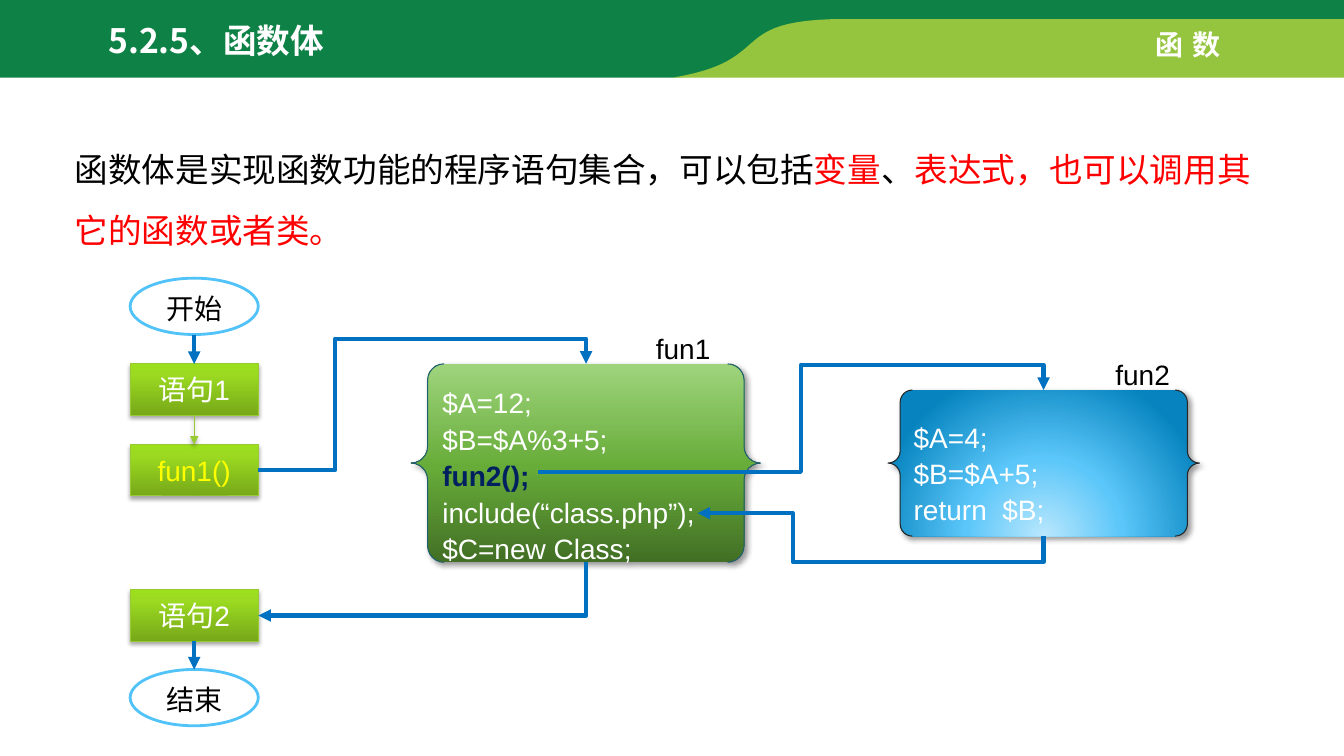
from pptx import Presentation
from pptx.dml.color import RGBColor as RGB
from pptx.enum.shapes import MSO_CONNECTOR as LINK, MSO_SHAPE as FORM
from pptx.enum.text import MSO_ANCHOR as ANCHOR, MSO_AUTO_SIZE as AUTO, PP_ALIGN as ALIGN
from pptx.oxml import parse_xml
from pptx.oxml.ns import nsdecls, qn
from pptx.util import Cm, Pt
from lxml.etree import SubElement


class Theme:
    dark, light = "0E8146", "95C53E"
    white, black, red = "FFFFFF", "000000", "FF0000"
    yellow, navy = "FFFF00", "002060"
    blue, sky, lime = "0070C0", "51C3F9", "97CA33"
    teal, ink = "1E5E70", "262626"
    big, small = 24, 20
    latin, han = "Arial", "Noto Sans CJK SC"
    up = '<a:lin ang="16200000" scaled="0"/>'
    glow = ('<a:path path="circle"><a:fillToRect l="50000" t="130000" '
            'r="50000" b="-30000"/></a:path>')
    step_fill = ([(0, "77A819"), (80, "9BDA21"), (100, "9DDF1D")], up)
    green_fill = ([(0, "426F25"), (48, "67AC39"), (100, "9FD47D")], up)
    blue_fill = ([(0, "B9E7FD"), (46, "5AC6F9"), (100, "0784BF")], glow)
    # opacity %, blur pt, distance pt, direction in degrees
    soft, deep = (35, 3.1, 1.8, 90), (40, 4, 3, 45)


T = Theme

# Content, with lengths in centimetres
TITLE = "5.2.5、函数体"
TOPIC = "函数"
BODY = [("函数体是实现函数功能的程序语句集合，可以包括", T.black), ("变量", T.red),
        ("、", T.black), ("表达式，也可以调用其它的函数或者类。", T.red)]

# Six numbers make a curve, two make a corner
BANDS = [
    (T.dark, [(0, -0.08), (33.87, -0.08), (33.87, 0.61), (21.01, 0.61), (20.55, 0.71),
              (18.47, 1.12, 19.56, 1.96, 16.64, 1.96), (0, 1.96)]),
    (T.light, [(21.31, 0.48), (33.87, 0.48), (33.87, 1.96), (16.94, 1.96),
               (19.63, 1.52, 18.21, 0.48, 21.31, 0.48)]),
]

# Text, top, is an end, text colour
STEPS = [("开始", 7.01, True, T.black), ("语句1", 9.17, False, T.white),
         ("fun1()", 11.2, False, T.yellow), ("语句2", 14.86, False, T.white),
         ("结束", 16.87, True, T.black)]
STEP_X, STEP_W, END_H, STEP_H = 3.28, 3.23, 1.42, 1.3

BLOCKS = [
    ((10.36, 9.17, 8.81, 5.0), T.green_fill, T.teal,
     ["$A=12;", "$B=$A%3+5;", "fun2();", "include(“class.php”);", "$C=new Class;"]),
    ((22.38, 9.83, 7.85, 3.68), T.blue_fill, T.ink,
     ["$A=4;", "$B=$A+5;", "return  $B;"]),
]
CALL = "fun2();"
LABELS = [("fun1", 16.28, 8.23), ("fun2", 27.86, 8.89)]

# Start, end, kind, turned a quarter, bend positions
BENDS = [
    ((6.51, 11.85), (14.77, 9.17), "bentConnector4", False, (0.234, 1.237)),
    ((13.56, 11.89), (26.3, 9.83), "bentConnector4", False, (0.52, 1.309)),
    ((26.3, 13.51), (17.58, 12.93), "bentConnector4", True, (-1.117, 0.725)),
    ((14.77, 14.17), (6.51, 15.51), "bentConnector2", True, ()),
]


def rgb(code):
    return RGB.from_string(code)


def place(shape, *box):
    shape.left, shape.top, shape.width, shape.height = map(Cm, box)


def style(para, size, color=None, bold=False, face=T.latin):
    font = para.font
    font.size, font.bold, font.name = Pt(size), bold, face
    if color:
        font.color.rgb = rgb(color)
    SubElement(para._p.find(".//" + qn("a:defRPr")), qn("a:ea"), typeface=T.han)


def shade(shape, fill):
    stops, way = fill
    marks = "".join(f'<a:gs pos="{pos * 1000}"><a:srgbClr val="{code}"/></a:gs>'
                    for pos, code in stops)
    shape.fill.background()
    props = shape.element.spPr
    props.replace(props.find(qn("a:noFill")), parse_xml(
        f'<a:gradFill {nsdecls("a")} rotWithShape="1"><a:gsLst>{marks}</a:gsLst>{way}</a:gradFill>'))


def cast(effects, shadow):
    alpha, blur, dist, angle = shadow
    effects.append(parse_xml(
        f'<a:outerShdw {nsdecls("a")} blurRad="{Pt(blur)}" dist="{Pt(dist)}" '
        f'dir="{angle * 60000}" algn="ctr" rotWithShape="0"><a:srgbClr val="{T.black}">'
        f'<a:alpha val="{alpha * 1000}"/></a:srgbClr></a:outerShdw>'))


def draw(form, box, color, width, fill=None, shadow=None):
    shape = shapes.add_shape(form, *map(Cm, box))
    shape.shadow.inherit = False
    shape.line.color.rgb, shape.line.width = rgb(color), Pt(width)
    if fill:
        shade(shape, fill)
    else:
        shape.fill.solid()
        shape.fill.fore_color.rgb = rgb(T.white)
    if shadow:
        cast(shape.element.spPr.find(qn("a:effectLst")), shadow)
    return shape


def link(start, end, kind=LINK.STRAIGHT, color=T.blue, width=3, shadow=None):
    line = shapes.add_connector(kind, *map(Cm, start + end))
    line.line.color.rgb, line.line.width = rgb(color), Pt(width)
    props = line.element.spPr
    SubElement(props.find(qn("a:ln")), qn("a:tailEnd"), type="triangle")
    effects = SubElement(props, qn("a:effectLst"))
    if shadow:
        cast(effects, shadow)
    return line


def bend(start, end, kind, turned, stops):
    if turned:
        # The unturned frame swaps its sides about the middle
        mid = [(a + b) / 2 for a, b in zip(start, end)]
        half = ((end[1] - start[1]) / 2, (start[0] - end[0]) / 2)
        start = tuple(m - h for m, h in zip(mid, half))
        end = tuple(m + h for m, h in zip(mid, half))
    props = link(start, end, LINK.ELBOW).element.spPr
    if turned:
        props.find(qn("a:xfrm")).set("rot", "5400000")
    shape = props.find(qn("a:prstGeom"))
    shape.set("prst", kind)
    for old in list(shape):
        shape.remove(old)
    guides = SubElement(shape, qn("a:avLst"))
    for num, stop in enumerate(stops, 1):
        SubElement(guides, qn("a:gd"), name=f"adj{num}", fmla=f"val {round(stop * 100000)}")


def trace(path, parts=24):
    points = []
    for item in path:
        if len(item) == 2:
            points.append(item)
            continue
        knots = [points[-1], item[:2], item[2:4], item[4:]]
        for t in (n / parts for n in range(1, parts + 1)):
            mix = ((1 - t) ** 3, 3 * t * (1 - t) ** 2, 3 * t * t * (1 - t), t ** 3)
            points.append(tuple(sum(m * k[i] for m, k in zip(mix, knots)) for i in (0, 1)))
    return [(Cm(x), Cm(y)) for x, y in points]


def label(text, left, top, width, color, bold=False):
    box = shapes.add_textbox(*map(Cm, (left, top, width, 1.12)))
    frame = box.text_frame
    frame.word_wrap, frame.auto_size = False, AUTO.SHAPE_TO_FIT_TEXT
    frame.text = text
    style(frame.paragraphs[0], T.small, color, bold)
    return frame.paragraphs[0]


deck = Presentation()
deck.slide_width, deck.slide_height = Cm(33.87), Cm(19.05)
slide = deck.slides.add_slide(deck.slide_layouts[1])
shapes = slide.shapes
title, body = slide.placeholders

# Header bands
for color, path in BANDS:
    first, *rest = trace(path)
    pen = shapes.build_freeform(*first, scale=1.0)
    pen.add_line_segments(rest, close=True)
    band = pen.convert_to_shape()
    band.shadow.inherit = False
    band.fill.solid()
    band.fill.fore_color.rgb = rgb(color)
    band.line.fill.background()
topic = label(TOPIC, 28.88, 0.58, 2.36, T.white, True)
topic.runs[0]._r.get_or_add_rPr().set("spc", "600")

# Title and body, in front of the bands
for holder, box in ((title, (0.66, 0.38, 9.58, 1.27)), (body, (1.63, 3.12, 30.45, 3.1))):
    shapes.element.append(holder.element)
    place(holder, *box)
    frame = holder.text_frame
    frame.word_wrap, frame.auto_size = True, AUTO.SHAPE_TO_FIT_TEXT
    frame.vertical_anchor = ANCHOR.TOP
    frame.paragraphs[0].alignment = ALIGN.LEFT
title.text_frame.text = TITLE
style(title.text_frame.paragraphs[0], T.big, T.white, True, T.han)
para = body.text_frame.paragraphs[0]
props = para._p.get_or_add_pPr()
props.set("marL", "0")
props.set("indent", "0")
SubElement(props, qn("a:buNone"))
para.line_spacing, para.space_before = 1.5, Pt(0)
style(para, T.big, face=T.han)
for text, color in BODY:
    run = para.add_run()
    run.text, run.font.color.rgb = text, rgb(color)

# Flow column
spans = []
for text, top, is_end, color in STEPS:
    tall = END_H if is_end else STEP_H
    box = (STEP_X, top, STEP_W, tall)
    if is_end:
        step = draw(FORM.OVAL, box, T.sky, 2)
    else:
        step = draw(FORM.RECTANGLE, box, T.lime, 0.75, T.step_fill, T.soft)
    frame = step.text_frame
    frame.text = text
    frame.vertical_anchor = ANCHOR.TOP if is_end else ANCHOR.MIDDLE
    frame.paragraphs[0].alignment = ALIGN.CENTER
    style(frame.paragraphs[0], T.small, color)
    spans.append((top, top + tall))

# Code blocks
for box, fill, edge, lines in BLOCKS:
    block = draw(FORM.DOUBLE_BRACE, box, edge, 0.75, fill, T.deep)
    frame = block.text_frame
    frame.vertical_anchor = ANCHOR.MIDDLE
    frame.text = "\n".join(lines)
    for num, para in enumerate(frame.paragraphs):
        para.alignment, para.line_spacing = ALIGN.LEFT, Pt(26 if num else 30)
        called = para.text == CALL
        style(para, T.small, T.navy if called else T.white, called)
for text, left, top in LABELS:
    label(text, left, top, 1.91, T.black)

# Arrows
mid = STEP_X + STEP_W / 2
thin = dict(color=T.lime, width=0.75, shadow=T.soft)
for num, look in ((0, {}), (1, thin), (3, {})):
    link((mid, spans[num][1]), (mid, spans[num + 1][0]), **look)
for item in BENDS:
    bend(*item)

deck.save("out.pptx")
